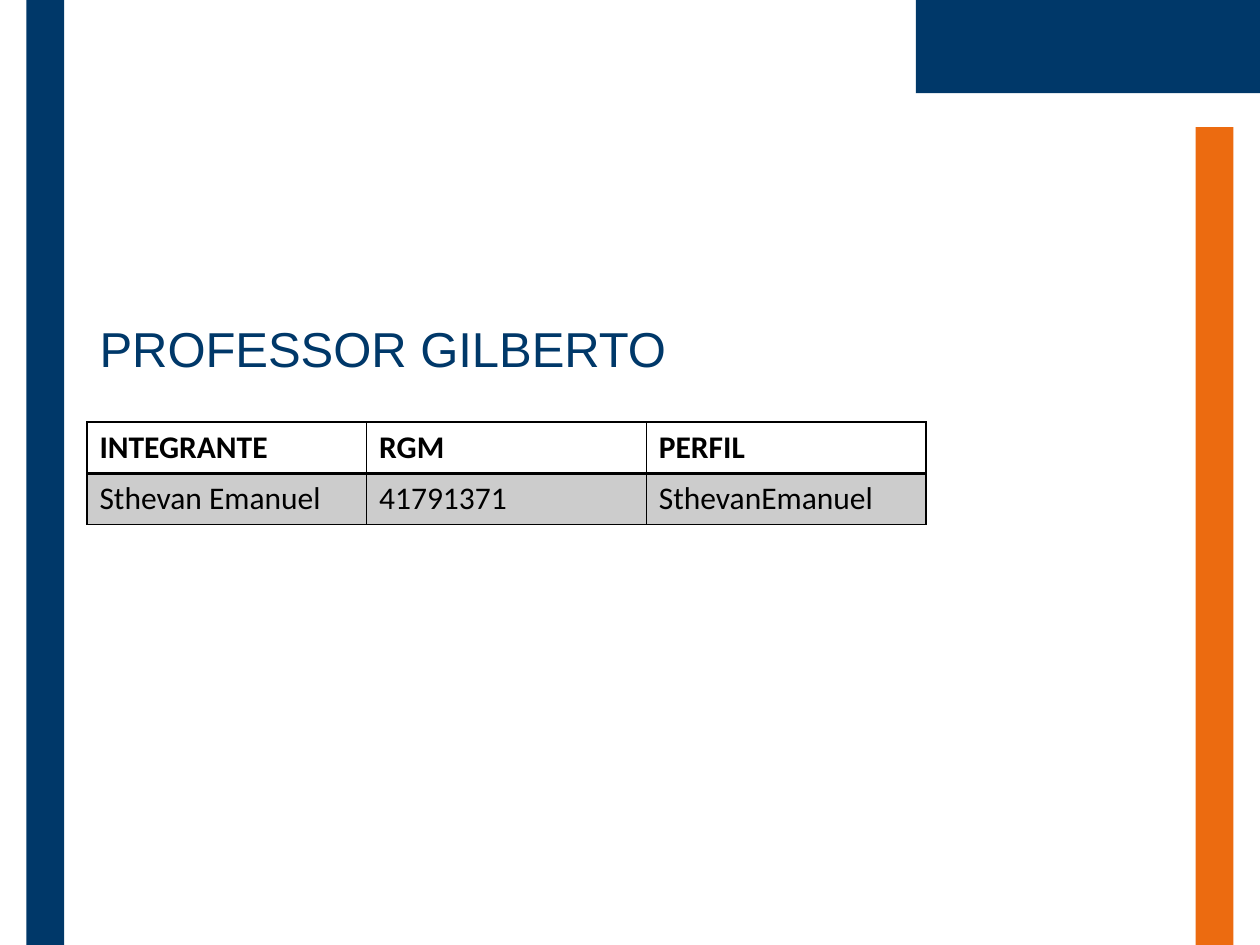
"""Build the professor and team member slide."""
from lxml import etree
from pptx import Presentation
from pptx.dml.color import RGBColor
from pptx.enum import shapes, text
from pptx.oxml import ns
from pptx.util import Inches, Pt

NAVY = RGBColor(0x00, 0x38, 0x69)
ORANGE = RGBColor(0xEC, 0x6B, 0x10)
GRAY = RGBColor(0xCC, 0xCC, 0xCC)
BLACK = RGBColor(0, 0, 0)

WIDTH, HEIGHT = 10, 7.5
LEFT = 0.69
BAR_WIDTH = 0.3
COLUMN_WIDTH, ROW_HEIGHT = 2.22, 0.4
TITLE = "PROFESSOR GILBERTO"
ROWS = [
    ("INTEGRANTE", "RGM", "PERFIL"),
    ("Sthevan Emanuel", "41791371", "SthevanEmanuel"),
]
BANDS = [
    (7.27, 0, WIDTH - 7.27, 0.74, NAVY),
    (0.21, 0, BAR_WIDTH, HEIGHT, NAVY),
    (9.49, 1.01, BAR_WIDTH, HEIGHT - 1.01, ORANGE),
]


def add_band(page, left, top, width, height, color):
    band = page.shapes.add_shape(
        shapes.MSO_SHAPE.RECTANGLE, *map(Inches, (left, top, width, height)))
    band.shadow.inherit = False
    band.fill.solid()
    band.fill.fore_color.rgb = color
    band.line.fill.background()


def add_title(page):
    title = page.shapes.title
    title.left, title.top, title.width, title.height = map(
        Inches, (LEFT, 2.24, 8.62, 1.1))
    frame = title.text_frame
    frame.text = TITLE
    frame.vertical_anchor = text.MSO_ANCHOR.MIDDLE
    para = frame.paragraphs[0]
    para.alignment = text.PP_ALIGN.LEFT
    para.line_spacing = 0.9
    para.font.name, para.font.size = "Arial", Pt(28)
    para.font.color.rgb = NAVY


def add_border(cell, side, points):
    properties = cell._tc.get_or_add_tcPr()
    line = etree.SubElement(properties, ns.qn(f"a:ln{side}"), w=str(Pt(points)))
    fill = etree.SubElement(line, ns.qn("a:solidFill"))
    etree.SubElement(fill, ns.qn("a:srgbClr"), val=str(BLACK))


def format_cell(cell, label, header):
    cell.text = label
    para = cell.text_frame.paragraphs[0]
    para.font.name, para.font.size = "Calibri", Pt(18)
    para.font.bold = header
    para.font.color.rgb = BLACK
    widths = {"L": 1, "R": 1, "T": 1 if header else 2, "B": 2 if header else 1}
    for side, points in widths.items():
        add_border(cell, side, points)
    if header:
        cell.fill.background()
    else:
        cell.fill.solid()
        cell.fill.fore_color.rgb = GRAY


def add_members(page):
    count = len(ROWS[0])
    table = page.shapes.add_table(
        len(ROWS), count, Inches(LEFT), Inches(3.35),
        Inches(COLUMN_WIDTH * count), Inches(ROW_HEIGHT * len(ROWS))).table
    for row, labels in enumerate(ROWS):
        for column, label in enumerate(labels):
            format_cell(table.cell(row, column), label, row == 0)


def main():
    deck = Presentation()
    deck.slide_width, deck.slide_height = Inches(WIDTH), Inches(HEIGHT)
    page = deck.slides.add_slide(deck.slide_layouts[5])
    for band in BANDS:
        add_band(page, *band)
    add_title(page)
    add_members(page)
    deck.save("out.pptx")


if __name__ == "__main__":
    main()
